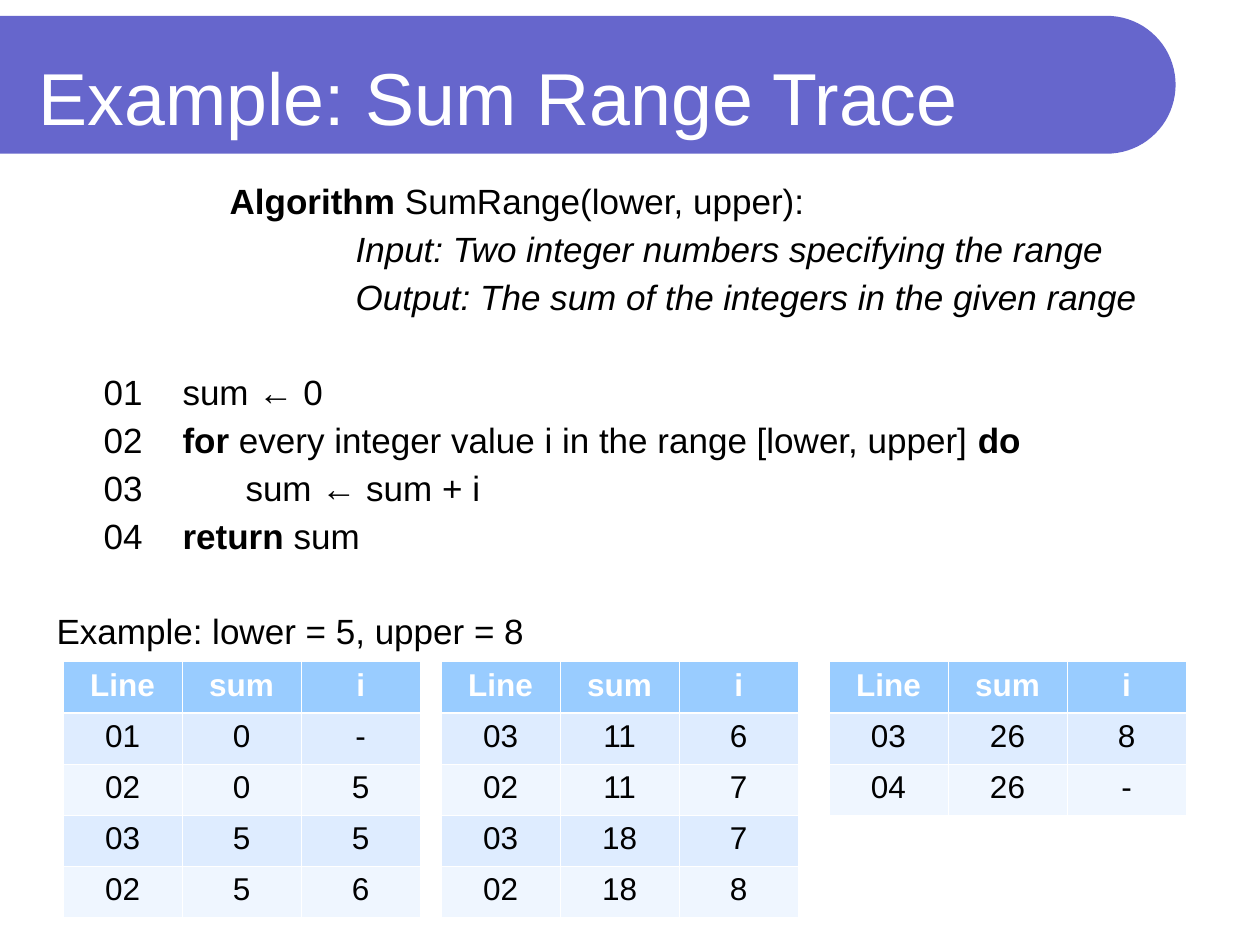
import math

import pptx
import pptx.dml.color
import pptx.enum.text
import pptx.oxml
import pptx.oxml.ns
import pptx.util

Cm = pptx.util.Cm
Pt = pptx.util.Pt
Color = pptx.dml.color.RGBColor

VIOLET = Color(0x66, 0x66, 0xCC)
WHITE = Color(0xFF, 0xFF, 0xFF)
BLACK = Color(0x00, 0x00, 0x00)
HEAD = Color(0x99, 0xCC, 0xFF)
BANDS = [Color(0xEF, 0xF6, 0xFF), Color(0xDE, 0xEC, 0xFF)]

TITLE = {"name": "Arial", "size": Pt(42), "bold": False}
BODY = {"name": "Arial", "size": Pt(20)}
CELL = {"name": "Arial", "size": Pt(18)}
PLAIN, BOLD, ITALIC = {}, {"bold": True}, {"italic": True}


def style(font, form, color):
    for key, val in form.items():
        setattr(font, key, val)
    font.color.rgb = color


def edge(cell, side, width):
    """Draw one white border of a table cell; side is L, R, T or B."""
    cell._tc.get_or_add_tcPr().append(pptx.oxml.parse_xml(
        f'<a:ln{side} {pptx.oxml.ns.nsdecls("a")} w="{int(Pt(width))}"><a:solidFill>'
        f'<a:srgbClr val="{WHITE}"/></a:solidFill></a:ln{side}>'))


deck = pptx.Presentation()
deck.slide_width, deck.slide_height = Cm(25.4), Cm(19.05)
slide = deck.slides.add_slide(deck.slide_layouts[6])

# Title band with a round right end
top, right, radius = 0.32, 23.7, 1.39
steps = 40
arc = []
for step in range(steps + 1):
    turn = math.pi * (step / steps - 0.5)
    arc.append((Cm(right - radius + radius * math.cos(turn)),
                Cm(top + radius + radius * math.sin(turn))))
path = slide.shapes.build_freeform(0, Cm(top))
path.add_line_segments(arc + [(0, Cm(top + 2 * radius))], close=True)
band = path.convert_to_shape()
band.shadow.inherit = False
band.fill.solid()
band.fill.fore_color.rgb = VIOLET
band.line.fill.background()

title = slide.shapes.add_textbox(Cm(0.53), Cm(0.53), Cm(22.28), Cm(2.8)).text_frame
title.word_wrap = True
title.vertical_anchor = pptx.enum.text.MSO_ANCHOR.MIDDLE
title.text = "Example: Sum Range Trace"
style(title.paragraphs[0].runs[0].font, TITLE, WHITE)

# Algorithm: left margin, first-line indent, space before, runs
NUM, CODE, NEST = 0.95, 3.49, 6.03
GAP, BREAK = 5.9, 32.5
lines = [
    (CODE, 0, 0, [("Algorithm", BOLD), (" SumRange(lower, upper):", PLAIN)]),
    (NEST, 0, GAP, [("Input: Two integer numbers specifying the range", ITALIC)]),
    (NEST, 0, GAP, [("Output: The sum of the integers in the given range", ITALIC)]),
    (0, NUM, BREAK, [("01\tsum ", PLAIN), ("←", BOLD), (" 0", PLAIN)]),
    (0, NUM, GAP, [("02\t", PLAIN), ("for", BOLD),
                   (" every integer value i in the range [lower, upper] ", PLAIN),
                   ("do", BOLD)]),
    (0, NUM, GAP, [("03\t\tsum ← sum + i", PLAIN)]),
    (0, NUM, GAP, [("04\t", PLAIN), ("return ", BOLD), ("sum", PLAIN)]),
    (0, 0, BREAK, [("Example: lower = 5, upper = 8", PLAIN)]),
]
body = slide.shapes.add_textbox(Cm(0.89), Cm(3.53), Cm(23.6), Cm(14.6)).text_frame
body.word_wrap = True
body.margin_top = Cm(0.18)
for row, (left, indent, space, runs) in enumerate(lines):
    para = body.add_paragraph() if row else body.paragraphs[0]
    props = para._p.get_or_add_pPr()
    props.set("marL", str(int(Cm(left))))
    props.set("indent", str(int(Cm(indent))))
    para.line_spacing = 0.9
    para.space_before = Pt(space)
    if indent:
        stops = "".join(f'<a:tab pos="{int(Cm(stop))}" algn="l"/>' for stop in (CODE, NEST))
        props.append(pptx.oxml.parse_xml(
            f'<a:tabLst {pptx.oxml.ns.nsdecls("a")}>{stops}</a:tabLst>'))
    for text, form in runs:
        run = para.add_run()
        run.text = text
        style(run.font, {**BODY, **form}, BLACK)

# Trace tables
WIDE, HIGH = 2.4, 1.03
traces = [
    (16.71, ["03 26 8", "04 26 -"]),
    (1.27, ["01 0 -", "02 0 5", "03 5 5", "02 5 6"]),
    (8.89, ["03 11 6", "02 11 7", "03 18 7", "02 18 8"]),
]
for left, trace in traces:
    rows = ["Line sum i"] + trace
    table = slide.shapes.add_table(len(rows), 3, Cm(left), Cm(13.34),
                                   Cm(3 * WIDE), Cm(HIGH * len(rows))).table
    for col in table.columns:
        col.width = Cm(WIDE)
    for r, row in enumerate(rows):
        table.rows[r].height = Cm(HIGH)
        for c, text in enumerate(row.split()):
            cell = table.cell(r, c)
            edge(cell, "L", 0.45)
            edge(cell, "R", 0.45)
            edge(cell, "T", 1.47 if r == 1 else 0.45)
            edge(cell, "B", 1.47 if r == 0 else 0.45)
            cell.fill.solid()
            cell.fill.fore_color.rgb = BANDS[r % 2] if r else HEAD
            cell.text = text
            para = cell.text_frame.paragraphs[0]
            para.alignment = pptx.enum.text.PP_ALIGN.CENTER
            style(para.runs[0].font, {**CELL, "bold": r == 0}, BLACK if r else WHITE)

deck.save("out.pptx")
